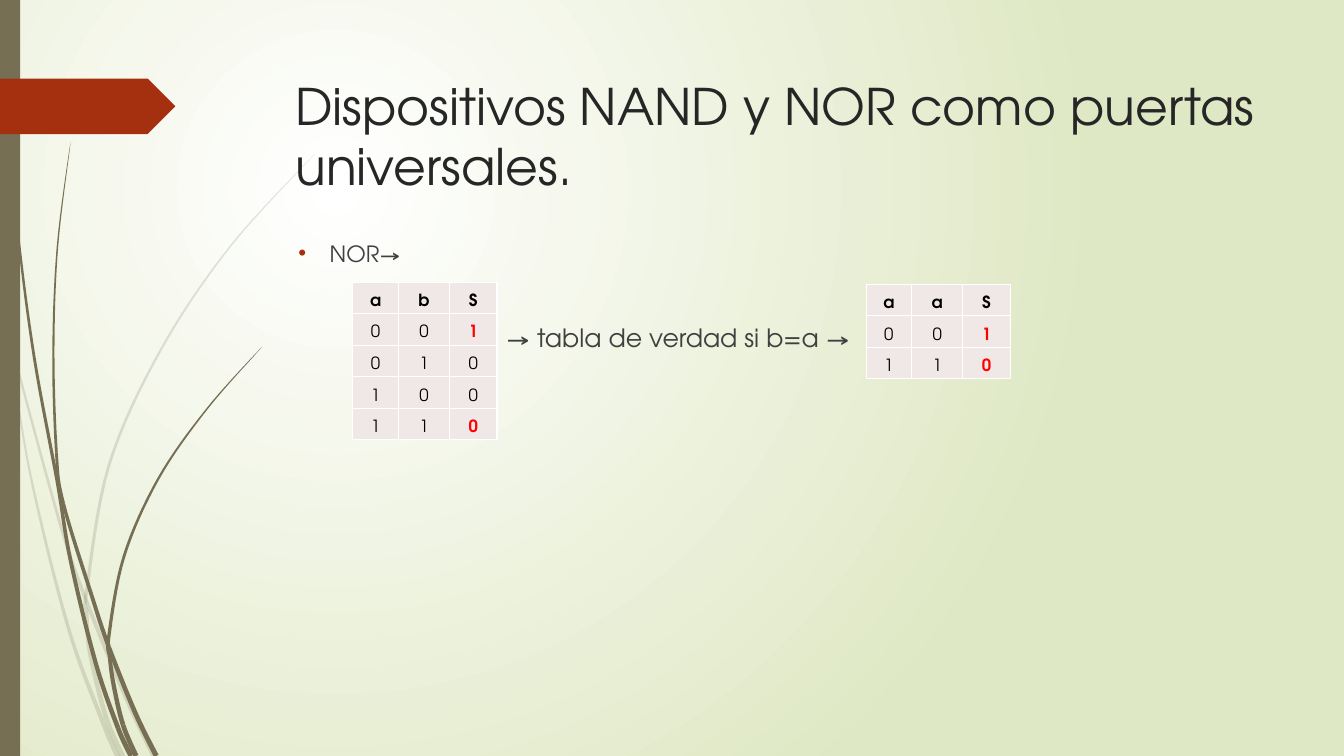
from math import hypot

from lxml.etree import SubElement
from pptx import Presentation
from pptx.dml.color import RGBColor
from pptx.enum.shapes import MSO_SHAPE
from pptx.enum.text import MSO_ANCHOR, MSO_AUTO_SIZE, PP_ALIGN
from pptx.oxml.ns import qn
from pptx.util import Inches, Pt

FONT = "TeX Gyre Adventor"
COLORS = {
    "center": "FFFFFF", "edge": "DFE8C4", "olive": "766F54", "rust": "A53010",
    "title": "262626", "body": "404040", "cell": "F0E8E7", "border": "FFFFFF",
    "digit": "000000", "result": "FF0000",
}

# Each grass blade: its centre line from tip to root, and the knots where it is jointed.
PALE_BLADES = [
    ([(0, 2.9), (0.13, 3.48), (0.6, 5.21), (0.86, 5.97), (1.25, 6.92), (1.53, 7.51)],
     (1, 3)),
    ([(0.11, 3.5), (0.3, 4.7), (0.67, 6.2), (1.01, 7.14), (1.17, 7.51)], (3,)),
    ([(3.12, 1.53), (2.28, 2.45), (1.59, 3.48), (1.08, 4.62), (0.86, 5.86),
      (0.86, 6.08), (0.89, 6.46), (1.05, 7.11), (1.22, 7.51)], (4, 5, 7)),
]
DARK_BLADES = [
    ([(0.03, 0), (0.07, 1.1), (0.18, 2.33), (0.34, 3.55), (0.57, 4.79),
      (0.7, 5.56), (0.95, 6.58), (1.17, 7.22), (1.3, 7.5)], (4, 7)),
    ([(0.7, 1.41), (0.57, 2.45), (0.53, 3.49), (0.56, 4.49), (0.63, 5.0),
      (0.91, 5.91), (1.08, 6.42), (1.34, 7.07), (1.55, 7.5)], (3, 4, 6)),
    ([(2.6, 3.44), (2.05, 4.06), (1.57, 4.75), (1.23, 5.52), (1.08, 6.31),
      (1.09, 6.53), (1.13, 6.81), (1.22, 7.19), (1.35, 7.5)], (4, 5, 7)),
]
NOR_TABLE = ["abS", "001", "010", "100", "110"]
EQUAL_INPUTS_TABLE = ["aaS", "001", "110"]


def rgb(name):
    """Return the named colour."""
    return RGBColor.from_string(COLORS[name])


def style_text(paragraph, size, color, bold=False):
    """Format every run of a paragraph."""
    for run in paragraph.runs:
        run.font.name = FONT
        run.font.size = Pt(size)
        run.font.bold = bold
        run.font.color.rgb = rgb(color)


def place(shape, left, top, width, height):
    """Move and size a shape, in inches."""
    shape.left, shape.top = Inches(left), Inches(top)
    shape.width, shape.height = Inches(width), Inches(height)


def paint_background(slide):
    """Fill the background with a gradient centred at the upper left."""
    fill = slide.background.fill
    fill.gradient()
    for stop, color in zip(fill.gradient_stops, ("center", "edge")):
        stop.color.rgb = rgb(color)
    gradient = slide.background._cSld.find(".//" + qn("a:gradFill"))
    gradient.remove(gradient.find(qn("a:lin")))
    circle = SubElement(gradient, qn("a:path"), path="circle")
    SubElement(circle, qn("a:fillToRect"), l="50000", t="50000", r="100000", b="100000")


def paint(shape, color, alpha=None):
    """Give a shape a plain fill without line or shadow."""
    shape.shadow.inherit = False
    shape.line.fill.background()
    shape.fill.solid()
    shape.fill.fore_color.rgb = rgb(color)
    if alpha is not None:
        tint = shape.fill._xPr.find(".//" + qn("a:srgbClr"))
        SubElement(tint, qn("a:alpha"), val=str(alpha * 1000))


def smooth_curve(knots, steps):
    """Return points of a Catmull-Rom curve through the knots."""
    padded = [knots[0], *knots, knots[-1]]
    points = []
    for before, start, end, after in zip(padded, padded[1:], padded[2:], padded[3:]):
        for t in (step / steps for step in range(steps)):
            points.append(tuple(
                0.5 * (2 * b + (c - a) * t + (2 * a - 5 * b + 4 * c - d) * t ** 2
                       + (3 * b - a - 3 * c + d) * t ** 3)
                for a, b, c, d in zip(before, start, end, after)))
    return points + [knots[-1]]


def add_blade(slide, knots, joints, alpha=None, root_width=0.05, steps=8):
    """Draw a jointed grass blade that widens from its tip to its root."""
    points = smooth_curve(knots, steps)
    last = len(points) - 1
    left_edge, right_edge = [], []
    for i, (x, y) in enumerate(points):
        (x0, y0), (x1, y1) = points[max(i - 1, 0)], points[min(i + 1, last)]
        half = root_width / 2 * (i / last) ** 0.6 / hypot(x1 - x0, y1 - y0)
        dx, dy = (y1 - y0) * half, (x0 - x1) * half
        left_edge.append((Inches(x - dx), Inches(y - dy)))
        right_edge.append((Inches(x + dx), Inches(y + dy)))
    bounds = [0, *(joint * steps for joint in joints), last]
    for start, end in zip(bounds, bounds[1:]):
        section = slice(start, end + 1)
        outline = left_edge[section] + right_edge[section][::-1]
        builder = slide.shapes.build_freeform(*outline[0])
        builder.add_line_segments(outline[1:], close=True)
        paint(builder.convert_to_shape(), "olive", alpha)


def add_block(slide, preset, color, left, top, width, height):
    """Add a plain preset shape."""
    block = slide.shapes.add_shape(
        preset, Inches(left), Inches(top), Inches(width), Inches(height))
    paint(block, color)


def fill_title(title):
    """Write the slide title."""
    place(title, 2.83, 0.69, 9.75, 1.4)
    frame = title.text_frame
    frame.text = "Dispositivos NAND y NOR como puertas universales."
    frame.auto_size = MSO_AUTO_SIZE.NONE
    frame.vertical_anchor = MSO_ANCHOR.TOP
    frame.paragraphs[0].alignment = PP_ALIGN.LEFT
    style_text(frame.paragraphs[0], 36, "title")


def format_item(paragraph, size, space_before, margin, indent=0, bullet=None):
    """Set spacing, indents and bullet of a body paragraph."""
    paragraph.alignment = PP_ALIGN.JUSTIFY
    paragraph.space_before = Pt(space_before)
    style_text(paragraph, size, "body")
    properties = paragraph._p.get_or_add_pPr()
    properties.set("marL", str(Inches(margin)))
    properties.set("indent", str(Inches(indent)))
    if bullet:
        bullet_color = SubElement(properties, qn("a:buClr"))
        SubElement(bullet_color, qn("a:srgbClr"), val=COLORS["rust"])
        SubElement(properties, qn("a:buFont"), typeface="Arial")
        SubElement(properties, qn("a:buChar"), char=bullet)
    else:
        SubElement(properties, qn("a:buNone"))


def fill_body(body):
    """Write the NOR item and the text between the two tables."""
    place(body, 2.36, 2.33, 10.76, 4.13)
    frame = body.text_frame
    frame.text = "NOR→"
    frame.auto_size = MSO_AUTO_SIZE.NONE
    format_item(frame.paragraphs[0], 16, 10, 0.81, -0.31, "•")
    link = frame.add_paragraph()
    link.text = "→ tabla de verdad si b=a → "
    format_item(link, 18, 40, 2.56)


def add_borders(cell):
    """Draw white borders around a cell, ahead of its fill."""
    properties = cell._tc.get_or_add_tcPr()
    for position, side in enumerate(("lnL", "lnR", "lnT", "lnB")):
        line = SubElement(properties, qn("a:" + side), w=str(Pt(1)))
        solid = SubElement(line, qn("a:solidFill"))
        SubElement(solid, qn("a:srgbClr"), val=COLORS["border"])
        properties.insert(position, line)


def add_truth_table(slide, left, top, rows):
    """Add a truth table; red marks the results where both inputs agree."""
    widths, row_height = (0.45, 0.51, 0.47), 0.31
    table = slide.shapes.add_table(
        len(rows), len(widths), Inches(left), Inches(top),
        Inches(sum(widths)), Inches(row_height * len(rows))).table
    for column, width in zip(table.columns, widths):
        column.width = Inches(width)
    for r, row in enumerate(rows):
        table.rows[r].height = Inches(row_height)
        for c, value in enumerate(row):
            cell = table.cell(r, c)
            cell.text = value
            cell.margin_left = cell.margin_right = Inches(0.04)
            cell.margin_top = cell.margin_bottom = Inches(0.04)
            cell.fill.solid()
            cell.fill.fore_color.rgb = rgb("cell")
            add_borders(cell)
            marked = r > 0 and c == 2 and row[0] == row[1]
            paragraph = cell.text_frame.paragraphs[0]
            paragraph.alignment = PP_ALIGN.CENTER
            paragraph.line_spacing = 1.5
            style_text(paragraph, 12, "result" if marked else "digit", marked or r == 0)


def main():
    """Build the slide and save it."""
    deck = Presentation()
    deck.slide_width, deck.slide_height = Inches(13.33), Inches(7.5)
    slide = deck.slides.add_slide(deck.slide_layouts[1])
    title, body = slide.placeholders
    paint_background(slide)
    for blades, alpha in ((PALE_BLADES, 20), (DARK_BLADES, None)):
        for knots, joints in blades:
            add_blade(slide, knots, joints, alpha)
    add_block(slide, MSO_SHAPE.RECTANGLE, "olive", 0, 0, 0.2, 7.5)
    add_block(slide, MSO_SHAPE.PENTAGON, "rust", 0, 0.78, 1.74, 0.55)
    fill_title(title)
    fill_body(body)
    for text in (title, body):  # bring the text in front of the decoration
        slide.shapes._spTree.append(text.element)
    add_truth_table(slide, 3.5, 2.8, NOR_TABLE)
    add_truth_table(slide, 8.59, 2.82, EQUAL_INPUTS_TABLE)
    deck.save("out.pptx")


main()
